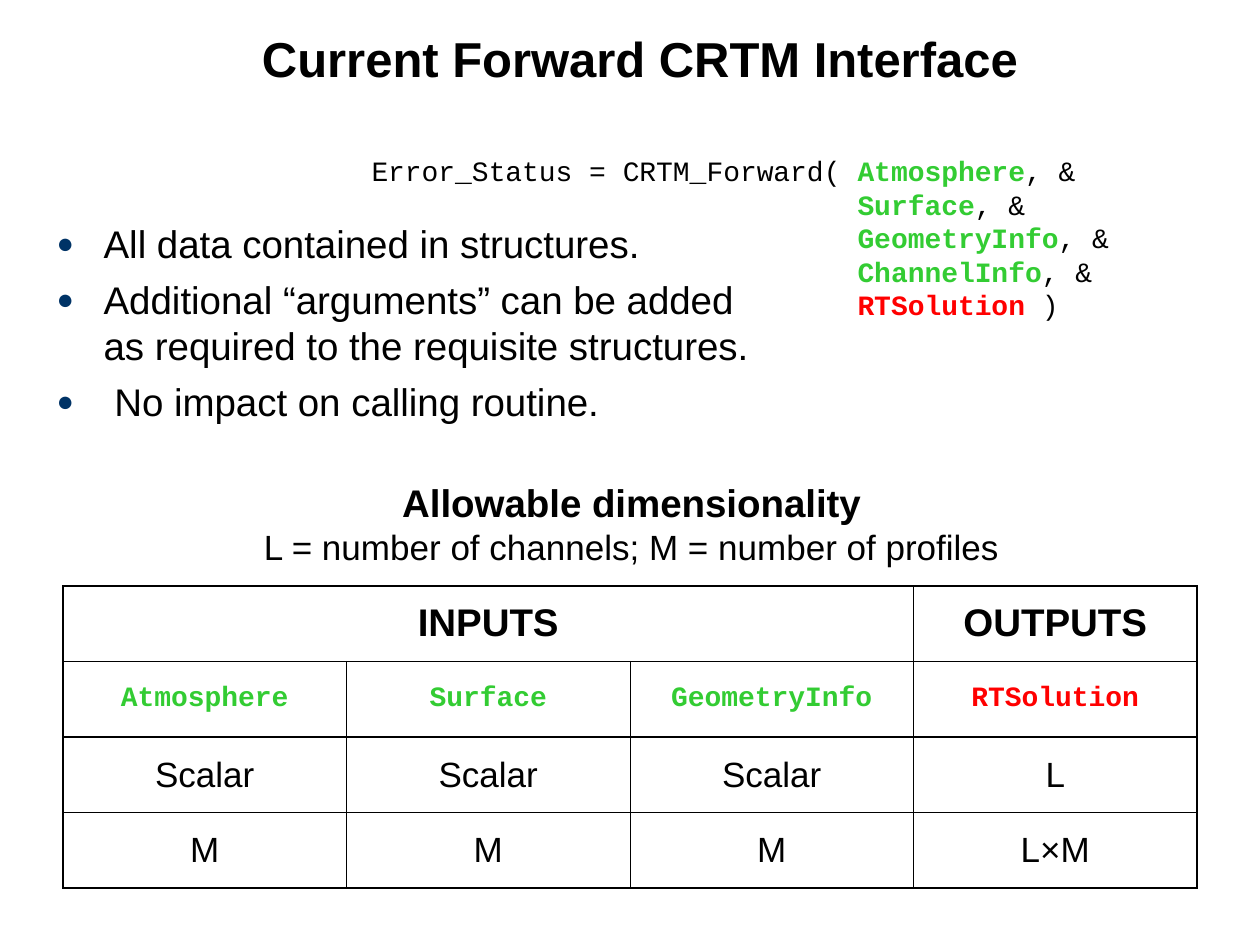
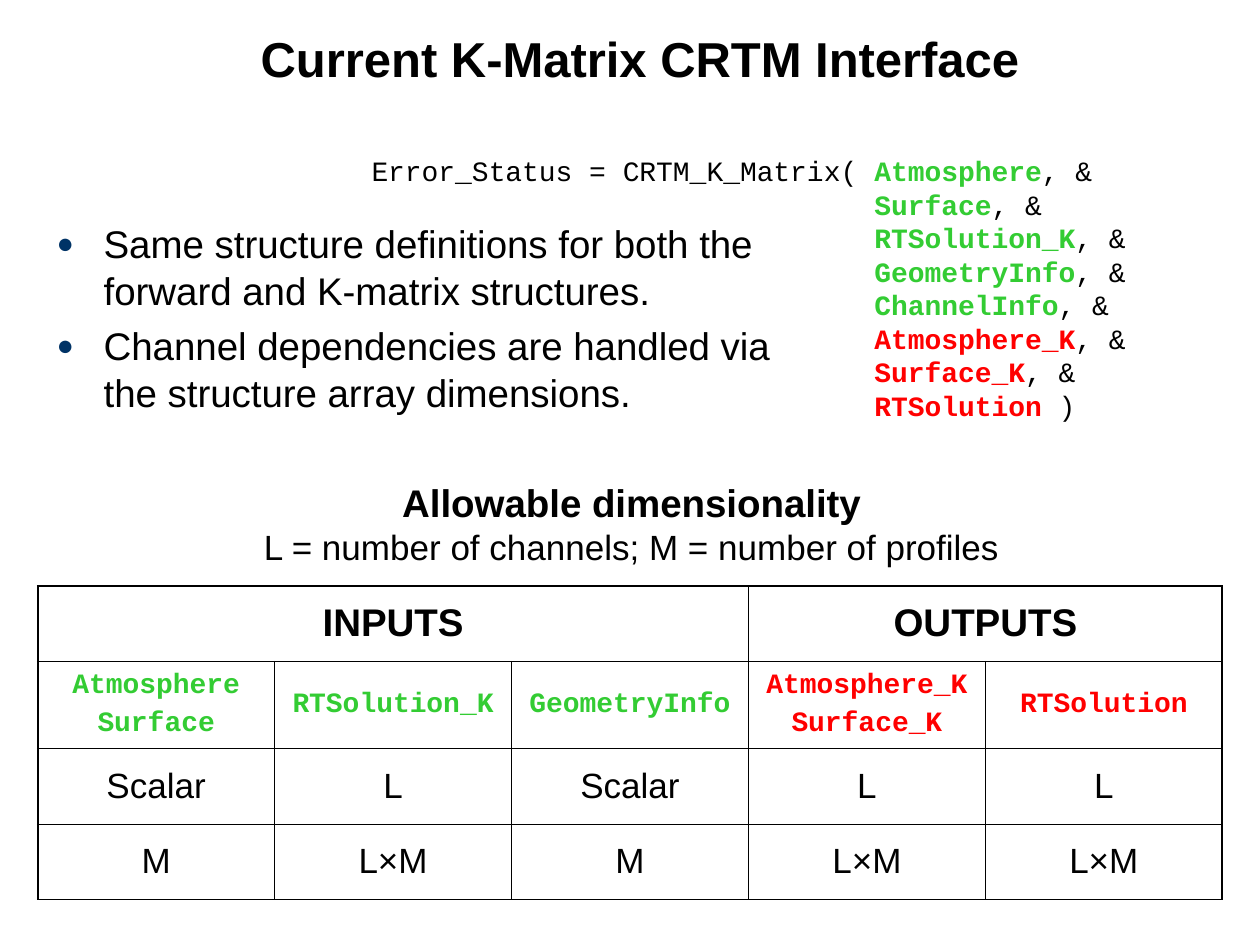
from pptx import Presentation
from pptx import util as u
from pptx.dml import color
from pptx.enum import text
from pptx.oxml import parse_xml
from pptx.oxml import ns

BLACK, GREEN, RED, NAVY = "000000", "33CC33", "FF0000", "003366"
THIN, THICK = 0.45, 1.08
TITLE = {"name": "Arial", "size": 28, "bold": True, "color": BLACK}
HEADING = {**TITLE, "size": 22}
BODY = {**HEADING, "bold": False}
VALUE = {**BODY, "size": 20}
CODE = {"name": "Courier New", "size": 16, "bold": False, "color": BLACK}
INPUT = {**CODE, "bold": True, "color": GREEN}
OUTPUT = {**INPUT, "color": RED}
CENTER = {"alignment": text.PP_ALIGN.CENTER}


def rgb(value):
    return color.RGBColor.from_string(value)


def add_para(frame, index, spans, layout):
    para = frame.paragraphs[0] if index == 0 else frame.add_paragraph()
    for name, value in layout.items():
        if name != "space_before" or index > 0:
            setattr(para, name, value)
    for content, style in spans:
        span = para.add_run()
        span.text = content
        for name, value in style.items():
            if name == "color":
                span.font.color.rgb = rgb(value)
            else:
                setattr(span.font, name, u.Pt(value) if name == "size" else value)
    return para


def add_box(page, left, top, width, height, wrap=True, anchor=text.MSO_ANCHOR.TOP):
    box = page.shapes.add_textbox(u.Cm(left), u.Cm(top), u.Cm(width), u.Cm(height))
    frame = box.text_frame
    frame.word_wrap = wrap
    frame.vertical_anchor = anchor
    if not wrap:
        frame.auto_size = text.MSO_AUTO_SIZE.SHAPE_TO_FIT_TEXT
    return frame


def add_title(page, title):
    frame = add_box(page, 1.47, 0, 22.86, 1.9, anchor=text.MSO_ANCHOR.BOTTOM)
    add_para(frame, 0, [(title, TITLE)], {**CENTER, "line_spacing": 0.9})


def add_call(page, opening, arguments, width):
    frame = add_box(page, 7.24, 2.97, width, 0.25 + 0.68 * len(arguments), wrap=False)
    for index, (argument, style) in enumerate(arguments):
        lead = opening if index == 0 else " " * len(opening)
        ending = " )" if index == len(arguments) - 1 else ", &"
        add_para(frame, index, [(lead, CODE), (argument, style), (ending, CODE)], {})


def add_bullets(page, points):
    frame = add_box(page, 0.89, 4.32, 15.04, 4.9)
    for index, point in enumerate(points):
        para = add_para(frame, index, [(point, BODY)], {"space_before": u.Pt(5.5)})
        props = para._p.get_or_add_pPr()
        props.set("marL", str(u.Cm(0.95)))
        props.set("indent", str(u.Cm(-0.95)))
        for mark in (f'<a:buClr {ns.nsdecls("a")}><a:srgbClr val="{NAVY}"/></a:buClr>',
                     f'<a:buSzPct {ns.nsdecls("a")} val="75000"/>',
                     f'<a:buFont {ns.nsdecls("a")} typeface="Arial"/>',
                     f'<a:buChar {ns.nsdecls("a")} char="●"/>'):
            props.append(parse_xml(mark))


def add_table_heading(page):
    frame = add_box(page, 5.05, 9.53, 15.37, 2.03, wrap=False)
    add_para(frame, 0, [("Allowable dimensionality", HEADING)], CENTER)
    legend = "L = number of channels; M = number of profiles"
    add_para(frame, 1, [(legend, VALUE)], CENTER)


def set_borders(cell, widths):
    props = cell._tc.get_or_add_tcPr()
    for side, width in zip("LRTB", widths):
        props.append(parse_xml(
            f'<a:ln{side} {ns.nsdecls("a")} w="{u.Pt(width)}"><a:solidFill>'
            f'<a:srgbClr val="{BLACK}"/></a:solidFill></a:ln{side}>'))


def fill_cell(cell, lines, style, gap):
    cell.vertical_anchor = text.MSO_ANCHOR.MIDDLE
    for index, line in enumerate(lines):
        add_para(cell.text_frame, index, [(line, style)],
                 {**CENTER, "space_before": u.Pt(gap)})


def add_dimensions(page, left, width, name_height, inputs, outputs):
    columns = inputs + outputs
    split, count = len(inputs), len(columns)
    heights = [1.52, name_height, 1.52, 1.52]
    table = page.shapes.add_table(
        len(heights), count, u.Cm(left), u.Cm(11.81),
        u.Cm(width), u.Cm(sum(heights))).table
    table.first_row = table.horz_banding = False
    for column in table.columns:
        column.width = u.Cm(width / count)
    for row, height in zip(table.rows, heights):
        row.height = u.Cm(height)

    rows = [THICK, THIN, THICK, THIN, THICK]
    edges = [THIN if 0 < edge < split else THICK for edge in range(count + 1)]
    for r in range(len(heights)):
        for c in range(count):
            cell = table.cell(r, c)
            sides = (edges[c], edges[c + 1]) if r else (THICK, THICK)
            set_borders(cell, (*sides, rows[r], rows[r + 1]))
            cell.fill.background()

    for label, first, last in (("INPUTS", 0, split - 1), ("OUTPUTS", split, count - 1)):
        if last > first:
            table.cell(0, first).merge(table.cell(0, last))
        fill_cell(table.cell(0, first), [label], HEADING, 5.5)
    for c, (names, single, multiple) in enumerate(columns):
        fill_cell(table.cell(1, c), names, INPUT if c < split else OUTPUT, 4)
        fill_cell(table.cell(2, c), [single], VALUE, 5)
        fill_cell(table.cell(3, c), [multiple], VALUE, 5)


def add_interface_page(deck, title, opening, arguments, call_width, points, dimensions):
    page = deck.slides.add_slide(deck.slide_layouts[6])
    add_title(page, title)
    add_call(page, opening, arguments, call_width)
    add_bullets(page, points)
    add_dimensions(page, **dimensions)
    add_table_heading(page)


def main():
    deck = Presentation()
    deck.slide_width, deck.slide_height = u.Cm(25.4), u.Cm(19.05)
    add_interface_page(
        deck, "Current Forward CRTM Interface", "Error_Status = CRTM_Forward( ",
        [("Atmosphere", INPUT), ("Surface", INPUT), ("GeometryInfo", INPUT),
         ("ChannelInfo", INPUT), ("RTSolution", OUTPUT)], 15.42,
        ["All data contained in structures.",
         "Additional “arguments” can be added as required to the requisite structures.",
         " No impact on calling routine."],
        {"left": 1.27, "width": 22.86, "name_height": 1.53,
         "inputs": [(["Atmosphere"], "Scalar", "M"),
                    (["Surface"], "Scalar", "M"),
                    (["GeometryInfo"], "Scalar", "M")],
         "outputs": [(["RTSolution"], "L", "L×M")]})
    add_interface_page(
        deck, "Current K-Matrix CRTM Interface", "Error_Status = CRTM_K_Matrix( ",
        [("Atmosphere", INPUT), ("Surface", INPUT), ("RTSolution_K", INPUT),
         ("GeometryInfo", INPUT), ("ChannelInfo", INPUT), ("Atmosphere_K", OUTPUT),
         ("Surface_K", OUTPUT), ("RTSolution", OUTPUT)], 15.8,
        ["Same structure definitions for both the forward and K-matrix structures.",
         "Channel dependencies are handled via the structure array dimensions."],
        {"left": 0.76, "width": 23.88, "name_height": 1.76,
         "inputs": [(["Atmosphere", "Surface"], "Scalar", "M"),
                    (["RTSolution_K"], "L", "L×M"),
                    (["GeometryInfo"], "Scalar", "M")],
         "outputs": [(["Atmosphere_K", "Surface_K"], "L", "L×M"),
                     (["RTSolution"], "L", "L×M")]})
    deck.save("out.pptx")


if __name__ == "__main__":
    main()
